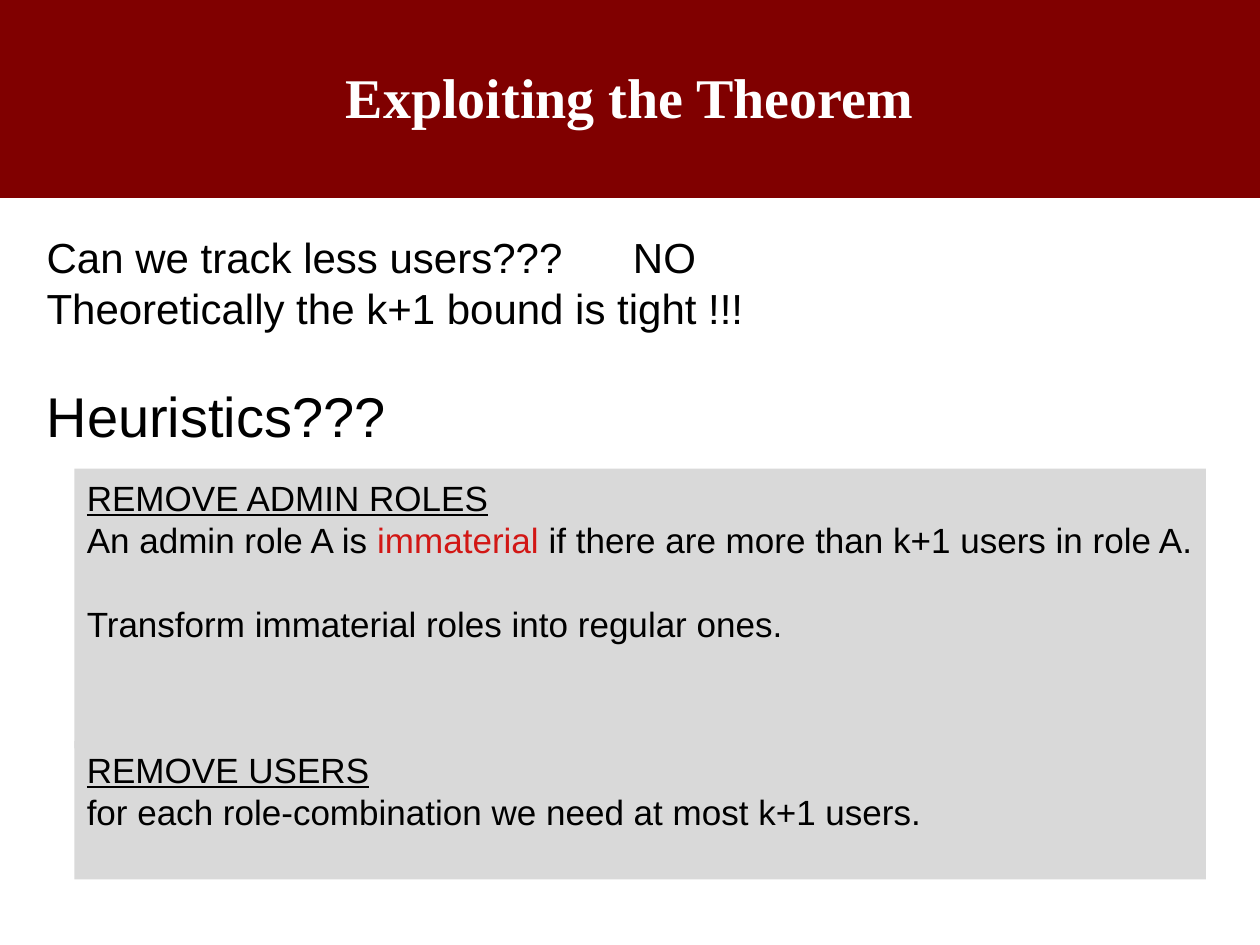
from lxml import etree
from pptx import Presentation
from pptx import util as u
from pptx.dml.color import RGBColor
from pptx.enum import shapes, text
from pptx.oxml import ns


def rgb(value):
    return RGBColor.from_string(value)


def write(para, content, size=20, font="Arial", color="000000", bold=False, underline=False):
    span = para.add_run()
    span.text = content
    span.font.size = u.Pt(size)
    span.font.name = font
    span.font.color.rgb = rgb(color)
    span.font.bold = bold
    span.font.underline = underline
    return span


class SlideBuilder:
    maroon = "800000"
    gray = "D9D9D9"
    red = "D21715"
    white = "FFFFFF"
    leading = 1.2

    def __init__(self, deck):
        self.page = deck.slides.add_slide(deck.slide_layouts[6])

    def frame(self, box, top=0.15):
        frame = box.text_frame
        frame.word_wrap = True
        frame.vertical_anchor = text.MSO_ANCHOR.TOP
        frame.margin_left = u.Cm(0.25)
        frame.margin_right = u.Cm(0.1)
        frame.margin_top = u.Cm(top)
        frame.margin_bottom = u.Cm(0.13)
        return frame

    def panel(self, left, top, width, height, fill, inset=0.15):
        box = self.page.shapes.add_shape(
            shapes.MSO_SHAPE.RECTANGLE, u.Cm(left), u.Cm(top), u.Cm(width), u.Cm(height))
        box.shadow.inherit = False
        box.fill.solid()
        box.fill.fore_color.rgb = rgb(fill)
        box.line.fill.background()
        return self.frame(box, inset)

    def text_box(self, left, top, width, height):
        return self.frame(self.page.shapes.add_textbox(
            u.Cm(left), u.Cm(top), u.Cm(width), u.Cm(height)))

    def line(self, frame, *spans, size=20, before=0, tab=None, first=False):
        para = frame.paragraphs[0] if first else frame.add_paragraph()
        if tab:
            stops = etree.SubElement(para._p.get_or_add_pPr(), ns.qn("a:tabLst"))
            etree.SubElement(stops, ns.qn("a:tab"), pos=str(u.Cm(tab)), algn="l")
        para.alignment = text.PP_ALIGN.LEFT
        para.line_spacing = u.Pt(round(size * self.leading))
        if before:
            para.space_before = u.Pt(before)
        for content, style in spans:
            write(para, content, size=size, **style)

    def title(self, content):
        frame = self.panel(0, 0, 25.4, 3.99, self.maroon, inset=1.27)
        frame.margin_right = frame.margin_left
        para = frame.paragraphs[0]
        para.alignment = text.PP_ALIGN.CENTER
        write(para, content, size=32, font="Times New Roman", color=self.white, bold=True)

    def heuristic(self, top, height, heading):
        frame = self.panel(1.5, top, 22.81, height, self.gray)
        self.line(frame, (heading, {"underline": True}), first=True)
        return frame


def main():
    deck = Presentation()
    deck.slide_width = u.Cm(25.4)
    deck.slide_height = u.Cm(19.05)
    slide = SlideBuilder(deck)

    slide.title("Exploiting the Theorem")

    questions = slide.text_box(0.69, 4.52, 24.36, 4.67)
    slide.line(questions, ("Can we track less users???\tNO", {}), size=24, tab=11.82, first=True)
    slide.line(questions, ("Theoretically the k+1 bound is tight !!!", {}), size=24)
    slide.line(questions, ("Heuristics???", {}), size=32, before=28)

    roles = slide.heuristic(9.45, 5.64, "REMOVE ADMIN ROLES")
    slide.line(roles, ("An admin role A is ", {}), ("immaterial", {"color": slide.red}),
               (" if there are more than k+1 users in role A.", {}))
    slide.line(roles, ("Transform immaterial roles into regular ones.", {}), before=24)

    users = slide.heuristic(14.94, 2.79, "REMOVE USERS")
    slide.line(users, ("for each role-combination we need at most k+1 users.", {}))

    deck.save("out.pptx")


if __name__ == "__main__":
    main()
